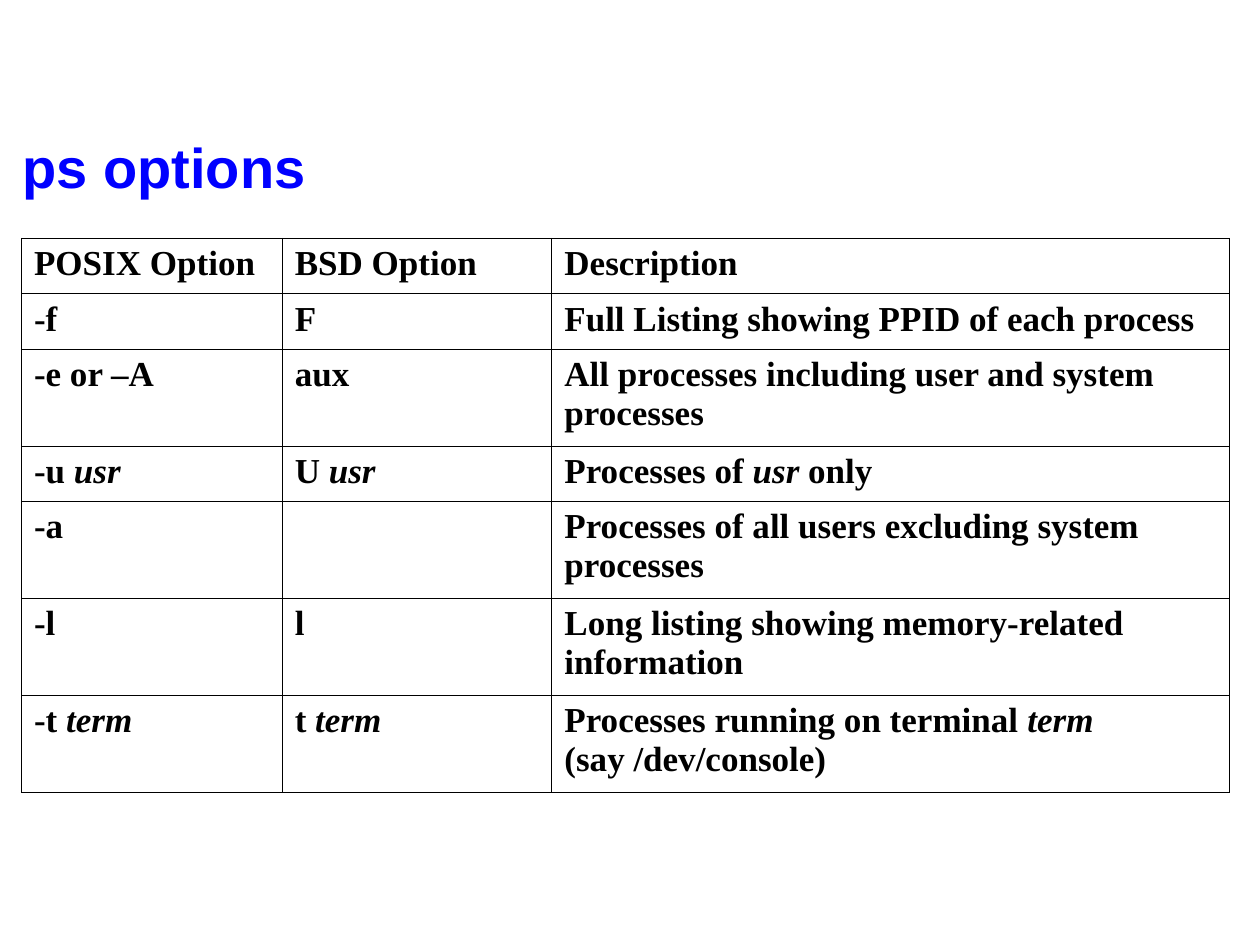
from lxml.etree import SubElement
from pptx import Presentation
from pptx.dml.color import RGBColor
from pptx.enum.text import MSO_ANCHOR, MSO_AUTO_SIZE, PP_ALIGN
from pptx.oxml.ns import qn
from pptx.util import Inches, Pt

BLUE, BLACK = "0000FF", "000000"
COLUMN_WIDTHS = [2.07, 2.14, 5.38]
LINE_ROW, DOUBLE_ROW = 0.44, 0.77

# Row height and cell texts; asterisks enclose italics, newlines part paragraphs
OPTIONS = [
    (LINE_ROW, "POSIX Option", "BSD Option", "Description"),
    (LINE_ROW, "-f", "F", "Full Listing showing PPID of each process"),
    (DOUBLE_ROW, "-e or –A", "aux",
     "All processes including user and system processes"),
    (LINE_ROW, "-u *usr*", "U *usr*", "Processes of *usr *only"),
    (DOUBLE_ROW, "-a", "", "Processes of all users excluding system processes"),
    (DOUBLE_ROW, "-l", "l", "Long listing showing memory-related information"),
    (DOUBLE_ROW, "-t *term*", "t *term*",
     "Processes running on terminal *term*\n(say /dev/console)"),
]


def color(value):
    return RGBColor.from_string(value)


class OptionSlide:
    title_font, body_font = "Arial", "Times New Roman"
    title_size, body_size = 32, 20
    border_width = 0.45

    def __init__(self, presentation):
        self.slide = presentation.slides.add_slide(presentation.slide_layouts[5])

    def style(self, font, name, size, ink):
        font.name, font.size, font.bold = name, Pt(size), True
        font.color.rgb = color(ink)

    def title(self, text, left, top, width, height):
        heading = self.slide.shapes.title
        heading.left, heading.top = Inches(left), Inches(top)
        heading.width, heading.height = Inches(width), Inches(height)
        frame = heading.text_frame
        frame.word_wrap = False
        frame.auto_size = MSO_AUTO_SIZE.SHAPE_TO_FIT_TEXT
        frame.vertical_anchor = MSO_ANCHOR.TOP
        paragraph = frame.paragraphs[0]
        paragraph.alignment = PP_ALIGN.LEFT
        run = paragraph.add_run()
        run.text = text
        self.style(run.font, self.title_font, self.title_size, BLUE)

    def table(self, rows, widths, left, top):
        heights = [row[0] for row in rows]
        table = self.slide.shapes.add_table(
            len(rows), len(widths), Inches(left), Inches(top),
            Inches(sum(widths)), Inches(sum(heights))).table
        table.first_row = table.horz_banding = False
        for column, width in zip(table.columns, widths):
            column.width = Inches(width)
        for r, (height, *texts) in enumerate(rows):
            table.rows[r].height = Inches(height)
            for c, text in enumerate(texts):
                self.cell(table.cell(r, c), text)

    def cell(self, cell, text):
        cell.fill.background()
        self.borders(cell)
        frame = cell.text_frame
        for number, line in enumerate(text.split("\n")):
            paragraph = frame.add_paragraph() if number else frame.paragraphs[0]
            self.style(paragraph.font, self.body_font, self.body_size, BLACK)
            for part, words in enumerate(line.split("*")):
                if words:
                    run = paragraph.add_run()
                    run.text = words
                    self.style(run.font, self.body_font, self.body_size, BLACK)
                    run.font.italic = part % 2 == 1

    def borders(self, cell):
        # Border lines come before the fill in the cell properties
        properties = cell._tc.get_or_add_tcPr()
        for place, side in enumerate(("lnL", "lnR", "lnT", "lnB")):
            line = SubElement(properties, qn(f"a:{side}"),
                              w=str(Pt(self.border_width)))
            fill = SubElement(line, qn("a:solidFill"))
            SubElement(fill, qn("a:srgbClr"), val=BLACK)
            properties.insert(place, line)


def main():
    presentation = Presentation()
    presentation.slide_width, presentation.slide_height = Inches(10), Inches(7.5)
    page = OptionSlide(presentation)
    # Heading
    page.title("ps options", 0.08, 1, 2.45, 0.64)
    # Options of the ps command
    page.table(OPTIONS, COLUMN_WIDTHS, 0.17, 1.89)
    presentation.save("out.pptx")


if __name__ == "__main__":
    main()
